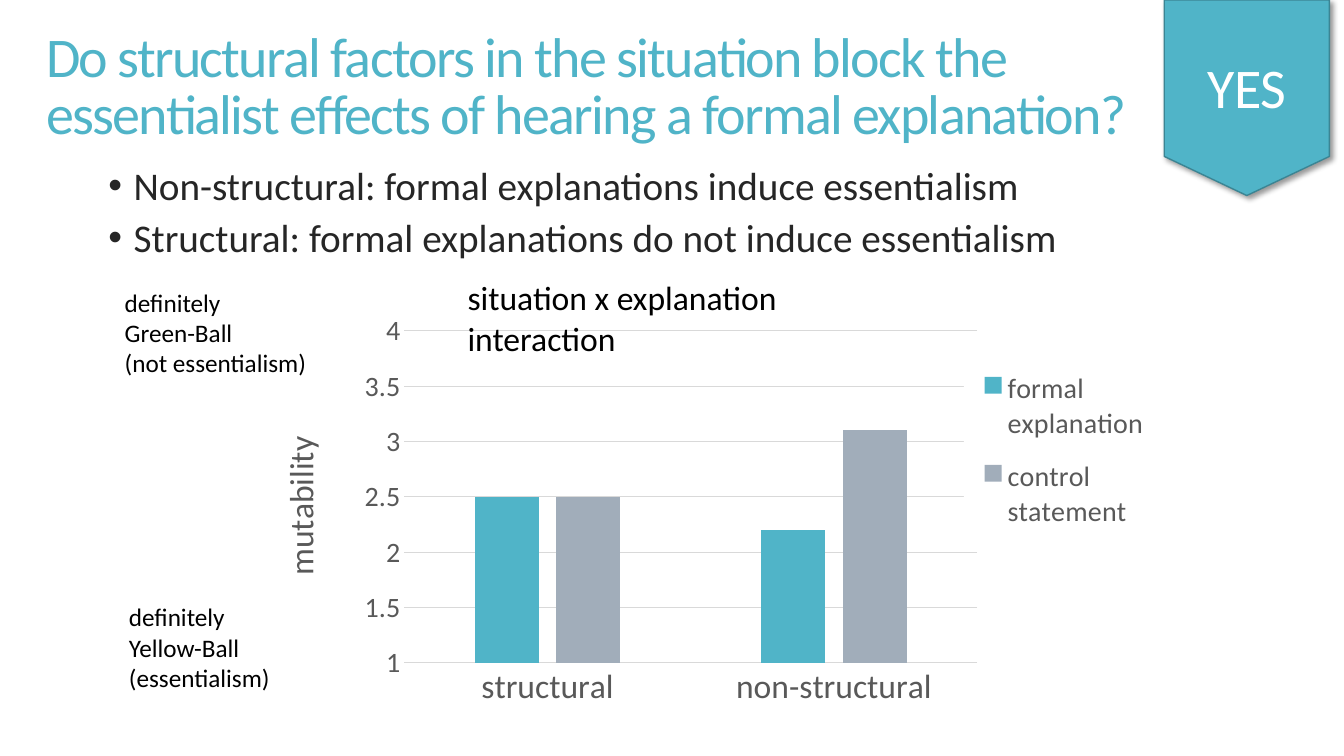
from lxml import etree
from pptx import Presentation
from pptx.chart.data import CategoryChartData
from pptx.dml.color import RGBColor
from pptx.enum.chart import XL_CHART_TYPE, XL_LEGEND_POSITION, XL_TICK_MARK
from pptx.enum.shapes import MSO_SHAPE
from pptx.enum.text import MSO_ANCHOR, PP_ALIGN
from pptx.oxml import parse_xml
from pptx.oxml.ns import nsdecls, qn
from pptx.util import Pt

COLUMNS = XL_CHART_TYPE.COLUMN_CLUSTERED
CORNER = XL_LEGEND_POSITION.CORNER
NO_TICK = XL_TICK_MARK.NONE
OFFPAGE = MSO_SHAPE.FLOWCHART_OFFPAGE_CONNECTOR
TOP, MIDDLE = MSO_ANCHOR.TOP, MSO_ANCHOR.MIDDLE
LEFT, CENTER = PP_ALIGN.LEFT, PP_ALIGN.CENTER

FONT = "Calibri"
COLORS = {
    "teal": "50B4C8", "teal_edge": "3B8594", "gray": "A1ADBA", "grid": "D9D9D9",
    "axis": "595959", "body": "262626", "black": "000000", "white": "FFFFFF",
}


def rgb(name):
    """Return the named colour."""
    return RGBColor.from_string(COLORS[name])


def style_font(font, size, color):
    """Set typeface, size and colour of a font."""
    font.name, font.size, font.bold = FONT, Pt(size), False
    font.color.rgb = rgb(color)


def style_line(line, color, width):
    """Give a line a solid colour and width."""
    line.color.rgb = rgb(color)
    line.width = Pt(width)


def add_text(slide, frame, text, size, color, spacing=1.0, anchor=TOP, align=LEFT):
    """Add a wrapping text box and return its paragraph."""
    box = slide.shapes.add_textbox(*map(Pt, frame))
    box.text_frame.word_wrap = True
    box.text_frame.vertical_anchor = anchor
    para = box.text_frame.paragraphs[0]
    para.text = text
    para.alignment = align
    para.line_spacing = spacing
    for span in para.runs:
        style_font(span.font, size, color)
    return para


def add_bullet(slide, top, text):
    """Add one bulleted finding."""
    para = add_text(slide, (50.4, top, 846.7, 37.4), text, 28, "body", 0.85)
    para.space_before = Pt(6)
    properties = para._p.get_or_add_pPr()
    properties.set("marL", str(Pt(38)))
    properties.set("indent", str(Pt(-18)))
    etree.SubElement(properties, qn("a:buFont")).set("typeface", "Arial")
    etree.SubElement(properties, qn("a:buChar")).set("char", "•")


def add_badge(slide):
    """Add the shadowed answer badge in the top right corner."""
    badge = slide.shapes.add_shape(OFFPAGE, Pt(831.6), Pt(0), Pt(118), Pt(139.7))
    badge.fill.solid()
    badge.fill.fore_color.rgb = rgb("teal")
    style_line(badge.line, "teal_edge", 1)
    badge.shadow.inherit = False
    effects = badge._element.spPr.find(qn("a:effectLst"))
    effects.append(parse_xml(
        f'<a:outerShdw {nsdecls("a")} blurRad="{Pt(4)}" dist="{Pt(3)}" dir="2700000">'
        f'<a:srgbClr val="{COLORS["black"]}"><a:alpha val="40000"/></a:srgbClr>'
        '</a:outerShdw>'))
    add_text(slide, (846, 41, 89.3, 56.9), "YES", 40, "white", 0.85, align=CENTER)


def place(element, index, inner=False, **fractions):
    """Fix the position of a chart part as fractions of the chart."""
    for old in element.findall(qn("c:layout")):
        element.remove(old)
    layout = etree.Element(qn("c:layout"))
    manual = etree.SubElement(layout, qn("c:manualLayout"))
    if inner:
        etree.SubElement(manual, qn("c:layoutTarget")).set("val", "inner")
    for side in "xy":
        etree.SubElement(manual, qn(f"c:{side}Mode")).set("val", "edge")
    for side, value in fractions.items():
        etree.SubElement(manual, qn(f"c:{side}")).set("val", str(value))
    element.insert(index, layout)


def style_axes(chart):
    """Format both axes and the value axis title."""
    category, value = chart.category_axis, chart.value_axis
    for axis, size in ((category, 24), (value, 20)):
        axis.major_tick_mark = axis.minor_tick_mark = NO_TICK
        style_font(axis.tick_labels.font, size, "axis")
    style_line(category.format.line, "grid", 0.75)
    value.format.line.fill.background()
    value.minimum_scale, value.maximum_scale, value.major_unit = 1, 4, 0.5
    style_line(value.major_gridlines.format.line, "grid", 0.75)
    title = value.axis_title
    title.text_frame.text = "mutability"
    style_font(title.text_frame.paragraphs[0].runs[0].font, 24, "axis")
    body = title._element.find(".//" + qn("a:bodyPr"))
    body.set("rot", "-5400000")
    body.set("vert", "horz")
    place(title._element, 1, x=0.025, y=0.33)


def style_legend(chart):
    """Place the legend on white, right of the columns."""
    chart.has_legend = True
    legend = chart.legend
    legend.position = CORNER
    legend.include_in_layout = False
    style_font(legend.font, 20, "axis")
    place(legend._element, 1, x=0.75, y=0.17, w=0.21, h=0.4)
    legend._element.find(qn("c:txPr")).addprevious(parse_xml(
        f'<c:spPr {nsdecls("c", "a")}><a:solidFill>'
        f'<a:srgbClr val="{COLORS["white"]}"/></a:solidFill></c:spPr>'))


def add_mutability_chart(slide):
    """Add the clustered columns of mutability by situation."""
    data = CategoryChartData()
    data.categories = ["structural", "non-structural"]
    data.add_series("formal explanation", (2.5, 2.2))
    data.add_series("control statement", (2.5, 3.1))
    frame = map(Pt, (177.1, 193, 681.8, 347))
    chart = slide.shapes.add_chart(COLUMNS, *frame, data).chart
    style_font(chart.font, 10, "black")
    chart.has_title = False
    plot = chart.plots[0]
    plot.gap_width, plot.overlap, plot.vary_by_categories = 219, -27, False
    for series, color in zip(plot.series, ("teal", "gray")):
        series.format.fill.solid()
        series.format.fill.fore_color.rgb = rgb(color)
    style_axes(chart)
    style_legend(chart)
    plot_area = chart._chartSpace.find(".//" + qn("c:plotArea"))
    place(plot_area, 0, inner=True, x=0.164, y=0.125, w=0.6, h=0.683)


def main():
    """Build the slide and save the deck."""
    deck = Presentation()
    deck.slide_width, deck.slide_height = Pt(960), Pt(540)
    slide = deck.slides.add_slide(deck.slide_layouts[6])
    add_mutability_chart(slide)
    add_text(slide, (82, 201.6, 150, 72.7),
             "definitely\vGreen-Ball\v(not essentialism)", 18, "black")
    add_text(slide, (85, 426.2, 118, 72.7),
             "definitely\vYellow-Ball\v(essentialism)", 18, "black")
    add_text(slide, (326.9, 194.4, 340, 36),
             "situation x explanation interaction", 24, "black")
    add_badge(slide)
    heading = add_text(
        slide, (25.9, -1.4, 848.2, 130.3),
        "Do structural factors in the situation block the essentialist effects "
        "of hearing a formal explanation?", 40, "teal", 0.85, MIDDLE)
    heading.runs[0].font._element.set("spc", "-120")
    findings = ("Non-structural: formal explanations induce essentialism",
                "Structural: formal explanations do not induce essentialism")
    for row, finding in enumerate(findings):
        add_bullet(slide, 116.6 + 37.4 * row, finding)
    deck.save("out.pptx")


main()
